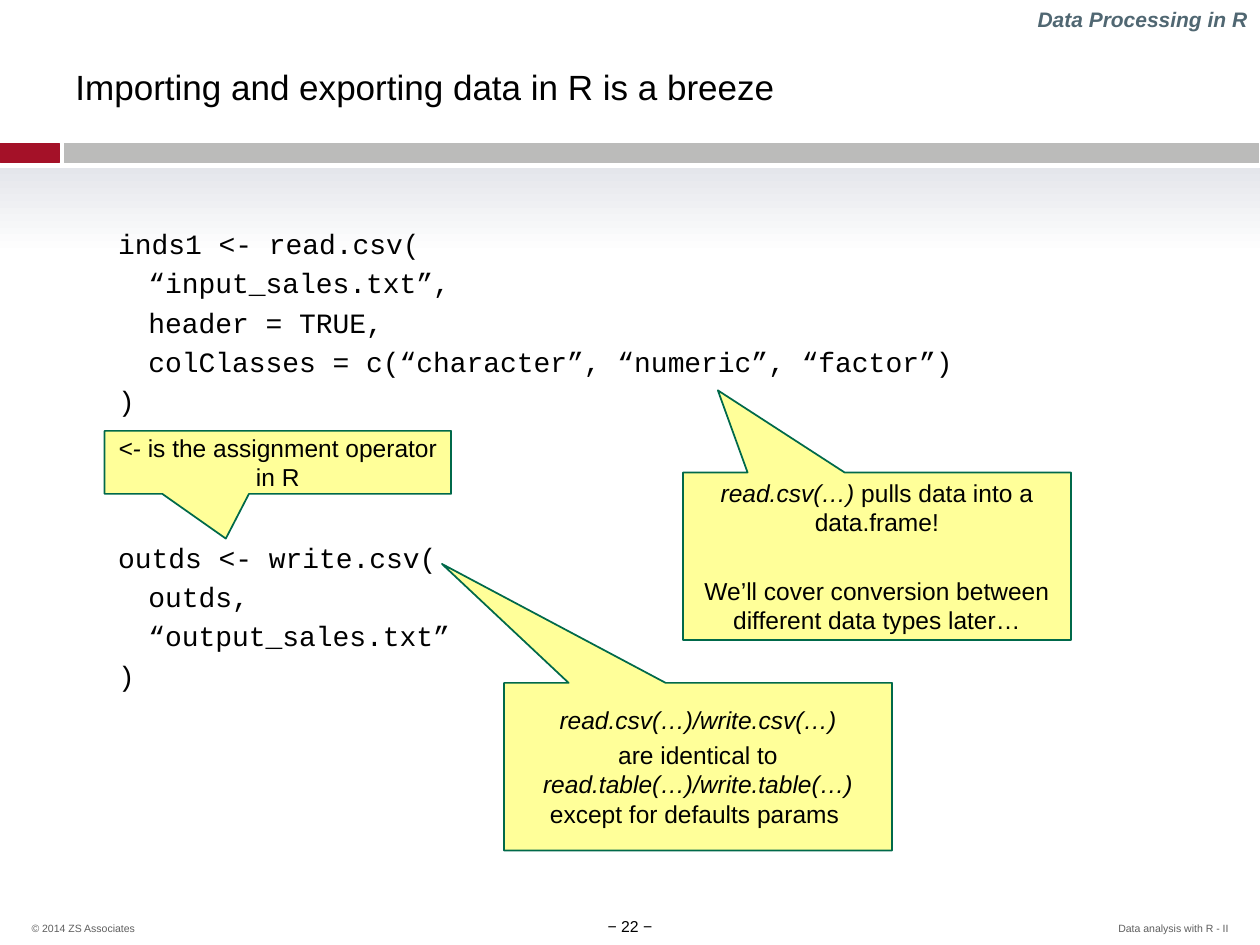
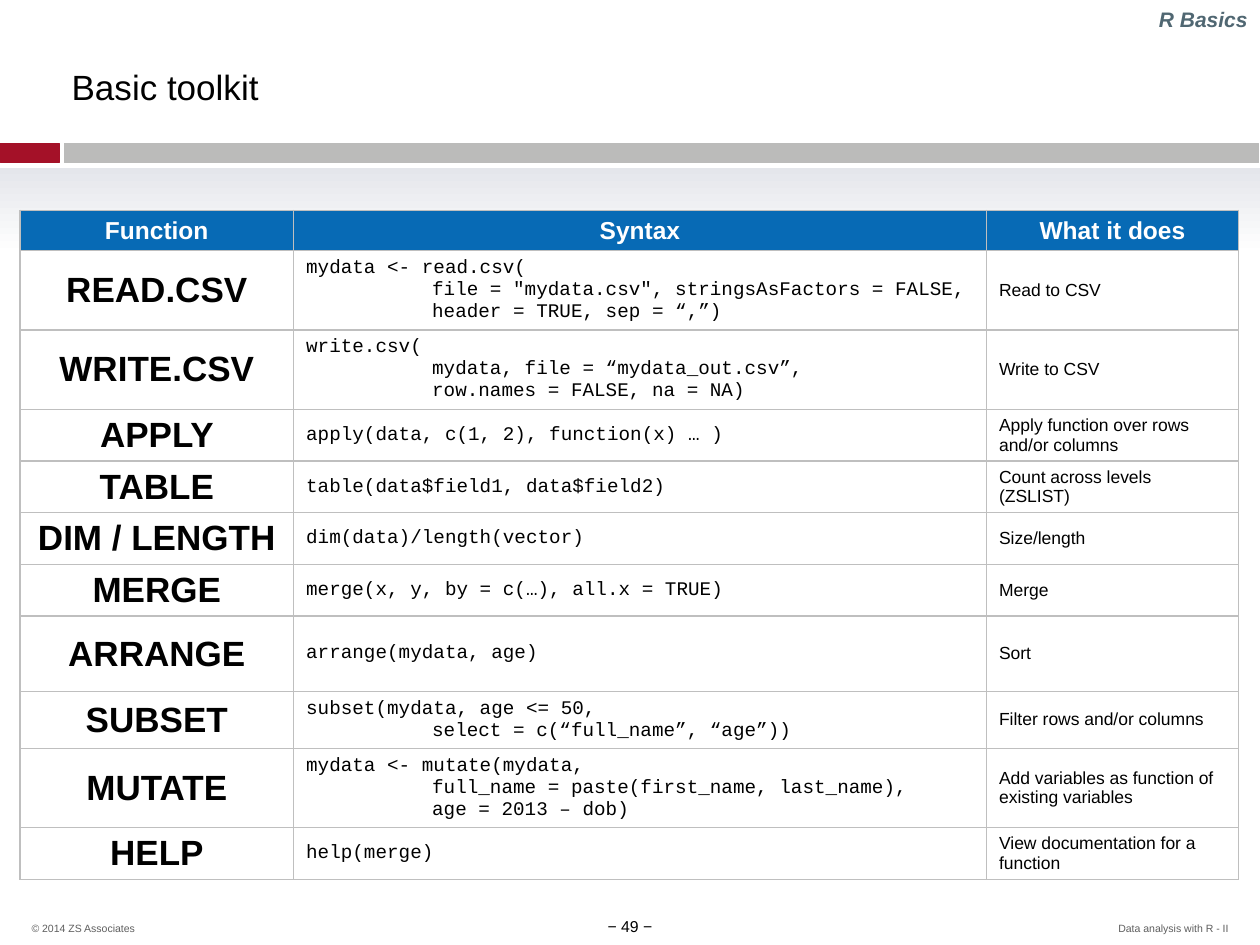
import pptx
import pptx.dml.color
import pptx.enum.shapes
import pptx.enum.text
import pptx.oxml.ns
import pptx.util
from lxml import etree

Inches, Pt = pptx.util.Inches, pptx.util.Pt
RGBColor = pptx.dml.color.RGBColor
ALIGN = pptx.enum.text.PP_ALIGN
ANCHOR = pptx.enum.text.MSO_ANCHOR
SHAPE = pptx.enum.shapes.MSO_SHAPE
qn = pptx.oxml.ns.qn

BLACK = RGBColor(0x00, 0x00, 0x00)
WHITE = RGBColor(0xFF, 0xFF, 0xFF)
RED = RGBColor(0xA4, 0x11, 0x28)
BAND_GRAY = RGBColor(0xBB, 0xBB, 0xBA)
FADE_GRAY = RGBColor(0xE4, 0xE6, 0xEB)
FOOTER_GRAY = RGBColor(0x5F, 0x5F, 0x5F)
SLATE = RGBColor(0x50, 0x67, 0x72)
YELLOW = RGBColor(0xFF, 0xFF, 0x99)
GREEN = RGBColor(0x00, 0x69, 0x4A)
HEADER_BLUE = RGBColor(0x07, 0x6A, 0xB5)
BORDER_GRAY = RGBColor(0xBF, 0xBF, 0xBF)
SANS, MONO = "Arial", "Courier New"

# Shared wording
COPYRIGHT = "© 2014 ZS Associates"
DECK_NAME = "Data analysis with R - II"

# Import and export slide; a new block starts after a gap
CODE_BLOCKS = [
    ["inds1 <- read.csv(",
     "\t“input_sales.txt”,",
     "\theader = TRUE,",
     "\tcolClasses = c(“character”, “numeric”, “factor”)",
     ")"],
    ["outds <- write.csv(",
     "\toutds,",
     "\t“output_sales.txt”",
     ")"],
]
CODE_SPACE, BLOCK_SPACE = 3.2, 70.6

# Callouts: box, pointer, gap between paragraphs, paragraphs of (text, italic)
CALLOUTS = [
    ((4, 5.42, 3.08, 1.33), (-0.66, -1.21), 2.8, [
        [("read.csv(…)/write.csv(…)", True)],
        [("are identical to ", False),
         ("read.table(…)/write.table(…) ", True),
         ("except for defaults params ", False)]]),
    ((5.42, 3.75, 3.08, 1.33), (-0.41, -0.99), 22.4, [
        [("read.csv(…)", True), (" pulls data into a data.frame!", False)],
        [("We’ll cover conversion between different data types later…", False)]]),
    ((0.83, 3.42, 2.75, 0.5), (-0.15, 1.21), 0, [
        [("<- ", True), ("is the assignment operator in R", False)]]),
]

# Toolkit table: row height, then the three cells
COLUMN_WIDTHS = (2.17, 5.5, 2)
TOOLKIT = [
    (0.32, "Function", "Syntax", "What it does"),
    (0.63, "READ.CSV",
     'mydata <- read.csv(\n\tfile = "mydata.csv", stringsAsFactors = FALSE,'
     "\n\theader = TRUE, sep = “,”)", "Read to CSV"),
    (0.63, "WRITE.CSV",
     "write.csv(\n\tmydata, file = “mydata_out.csv”,"
     "\n\trow.names = FALSE, na = NA)", "Write to CSV"),
    (0.41, "APPLY", "apply(data, c(1, 2), function(x) … )",
     "Apply function over rows and/or columns"),
    (0.41, "TABLE", "table(data$field1, data$field2)",
     "Count across levels (ZSLIST)"),
    (0.41, "DIM / LENGTH", "dim(data)/length(vector)", "Size/length"),
    (0.41, "MERGE", "merge(x, y, by = c(…), all.x = TRUE)", "Merge"),
    (0.6, "ARRANGE", "arrange(mydata, age)", "Sort"),
    (0.45, "SUBSET",
     "subset(mydata, age <= 50,\n\tselect = c(“full_name”, “age”))",
     "Filter rows and/or columns"),
    (0.63, "MUTATE",
     "mydata <- mutate(mydata,\n\tfull_name = paste(first_name, last_name),"
     "\n\tage = 2013 – dob)",
     "Add variables as function of existing variables"),
    (0.41, "HELP", "help(merge)", "View documentation for a function"),
]
# Column styles: size, font, bold, alignment
HEADER_STYLE = (14, SANS, True, ALIGN.CENTER)
COLUMN_STYLES = [
    (20, SANS, True, ALIGN.CENTER),
    (11, MONO, False, ALIGN.LEFT),
    (10, SANS, False, ALIGN.LEFT),
]


def style_runs(paragraph, size, color=BLACK, font=SANS, bold=False, italic=False):
    for run in paragraph.runs:
        run.font.size = Pt(size)
        run.font.name = font
        run.font.bold = bold
        run.font.italic = italic
        run.font.color.rgb = color


def set_margins(target, horizontal, vertical):
    target.margin_left = target.margin_right = Inches(horizontal)
    target.margin_top = target.margin_bottom = Inches(vertical)


def add_text(slide, box, text, size, align=ALIGN.LEFT, anchor=ANCHOR.TOP,
             margins=(0.1, 0.05), line_spacing=None, **style):
    text_frame = slide.shapes.add_textbox(*map(Inches, box)).text_frame
    text_frame.word_wrap = True
    text_frame.vertical_anchor = anchor
    set_margins(text_frame, *margins)
    text_frame.text = text
    for paragraph in text_frame.paragraphs:
        paragraph.alignment = align
        paragraph.line_spacing = line_spacing
        style_runs(paragraph, size, **style)
    return text_frame


def add_shape(slide, kind, box, fill=None, line=None, width=0.25):
    shape = slide.shapes.add_shape(kind, *map(Inches, box))
    shape.shadow.inherit = False
    if fill is not None:
        shape.fill.solid()
        shape.fill.fore_color.rgb = fill
    if line is None:
        shape.line.fill.background()
    else:
        shape.line.color.rgb = line
        shape.line.width = Pt(width)
    return shape


def add_base_slide(presentation, section, title, title_left, number):
    slide = presentation.slides.add_slide(presentation.slide_layouts[6])
    # Bands under the title
    add_shape(slide, SHAPE.RECTANGLE, (0, 1.14, 0.47, 0.15), RED, RED)
    add_shape(slide, SHAPE.RECTANGLE, (0.51, 1.14, 9.48, 0.15), BAND_GRAY, BAND_GRAY)
    fade = add_shape(slide, SHAPE.RECTANGLE, (0, 1.33, 10, 0.69))
    fade.fill.gradient()
    fade.fill.gradient_angle = 270
    for stop, color in zip(fade.fill.gradient_stops, (FADE_GRAY, WHITE)):
        stop.color.rgb = color
    # Footer
    for left, text, align in ((0.25, COPYRIGHT, ALIGN.LEFT),
                              (7.37, DECK_NAME, ALIGN.RIGHT)):
        add_text(slide, (left, 7.28, 2.38, 0.14), text, 6, align, ANCHOR.BOTTOM,
                 (0, 0), 0.8, color=FOOTER_GRAY)
    add_text(slide, (4.5, 7.28, 1, 0.15), f"− {number} −", 9, ALIGN.CENTER,
             margins=(0.1, 0))
    # Title and section tag
    add_text(slide, (title_left, 0.48, 9.05, 0.41), title, 20,
             anchor=ANCHOR.MIDDLE, margins=(0.1, 0.04))
    add_text(slide, (7.75, 0, 2.25, 0.3), section, 12, ALIGN.RIGHT, ANCHOR.BOTTOM,
             color=SLATE, bold=True, italic=True)
    return slide


def add_code(slide):
    lines = [line for block in CODE_BLOCKS for line in block]
    text_frame = add_text(slide, (0.84, 1.75, 8.33, 4.58), "\n".join(lines), 16,
                          font=MONO)
    second_block = len(CODE_BLOCKS[0])
    for index, paragraph in enumerate(text_frame.paragraphs):
        properties = paragraph._p.get_or_add_pPr()
        properties.set("marL", str(Inches(0.24)))
        properties.set("indent", str(-Inches(0.24)))
        if index:
            paragraph.space_before = Pt(
                BLOCK_SPACE if index == second_block else CODE_SPACE)


def add_callout(slide, box, pointer, gap, paragraphs):
    callout = add_shape(slide, SHAPE.RECTANGULAR_CALLOUT, box, YELLOW, GREEN, 1)
    callout.adjustments[0], callout.adjustments[1] = pointer
    text_frame = callout.text_frame
    text_frame.word_wrap = True
    text_frame.vertical_anchor = ANCHOR.MIDDLE
    for index, runs in enumerate(paragraphs):
        paragraph = text_frame.add_paragraph() if index else text_frame.paragraphs[0]
        paragraph.alignment = ALIGN.CENTER
        if index:
            paragraph.space_before = Pt(gap)
        for text, italic in runs:
            paragraph.add_run().text = text
        style_runs(paragraph, 14)
        for run, (text, italic) in zip(paragraph.runs, runs):
            run.font.italic = italic


def add_borders(cell):
    properties = cell._tc.get_or_add_tcPr()
    for side in ("lnL", "lnR", "lnT", "lnB"):
        line = etree.SubElement(properties, qn(f"a:{side}"), w=str(Pt(1)))
        fill = etree.SubElement(line, qn("a:solidFill"))
        etree.SubElement(fill, qn("a:srgbClr"), val=str(BORDER_GRAY))


def add_tab_stop(paragraph, position):
    tabs = etree.SubElement(paragraph._p.get_or_add_pPr(), qn("a:tabLst"))
    etree.SubElement(tabs, qn("a:tab"), pos=str(Inches(position)), algn="l")


def add_toolkit(slide):
    heights = [row[0] for row in TOOLKIT]
    frame = slide.shapes.add_table(
        len(TOOLKIT), len(COLUMN_WIDTHS), Inches(0.16), Inches(1.67),
        Inches(sum(COLUMN_WIDTHS)), Inches(sum(heights)))
    table = frame.table
    table.first_row = table.horz_banding = False
    for column, width in zip(table.columns, COLUMN_WIDTHS):
        column.width = Inches(width)
    for row_index, (height, *texts) in enumerate(TOOLKIT):
        table.rows[row_index].height = Inches(height)
        is_header = row_index == 0
        for column_index, text in enumerate(texts):
            cell = table.cell(row_index, column_index)
            cell.vertical_anchor = ANCHOR.MIDDLE
            set_margins(cell, 0.1, 0.03)
            add_borders(cell)
            if is_header:
                cell.fill.solid()
                cell.fill.fore_color.rgb = HEADER_BLUE
            else:
                cell.fill.background()
            size, font, bold, align = (
                HEADER_STYLE if is_header else COLUMN_STYLES[column_index])
            cell.text_frame.text = text
            for paragraph in cell.text_frame.paragraphs:
                paragraph.alignment = align
                if paragraph.text.startswith("\t"):
                    add_tab_stop(paragraph, 1)
                style_runs(paragraph, size, WHITE if is_header else BLACK, font, bold)


def main():
    presentation = pptx.Presentation()
    presentation.slide_width, presentation.slide_height = Inches(10), Inches(7.5)

    # Import and export
    slide = add_base_slide(presentation, "Data Processing in R",
                           "Importing and exporting data in R is a breeze", 0.5, 22)
    add_code(slide)
    for callout in CALLOUTS:
        add_callout(slide, *callout)

    # Toolkit
    slide = add_base_slide(presentation, "R Basics", "Basic toolkit", 0.47, 49)
    add_toolkit(slide)

    presentation.save("out.pptx")


if __name__ == "__main__":
    main()
